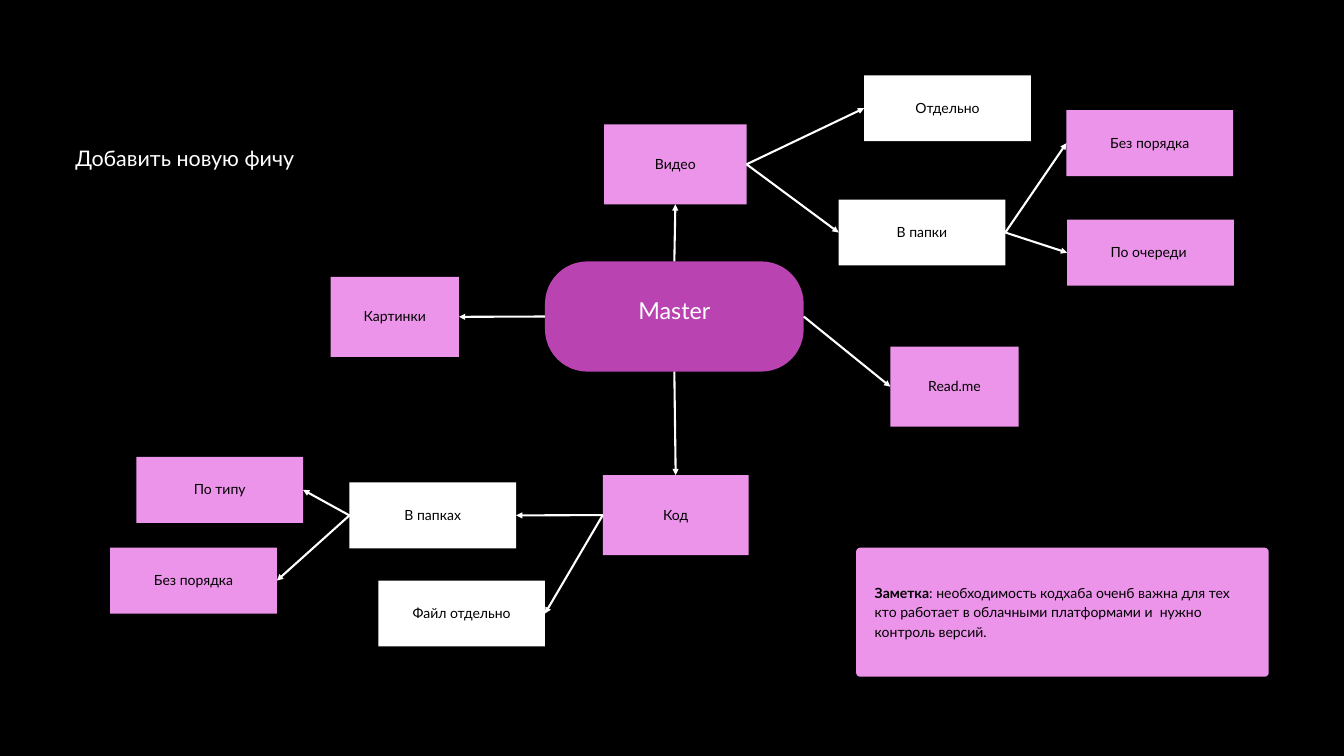
from typing import NamedTuple

from lxml.etree import SubElement
from pptx import Presentation
from pptx.dml.color import RGBColor
from pptx.enum.shapes import MSO_CONNECTOR, MSO_SHAPE
from pptx.enum.text import MSO_ANCHOR as Anchor, MSO_AUTO_SIZE as AutoSize, PP_ALIGN as Align
from pptx.oxml.ns import qn
from pptx.util import Inches, Pt

BLACK, WHITE, PINK, PURPLE = "000000", "FFFFFF", "EC94EA", "B843B1"
FONT = "Lato"
TOP, LEFT, BOTTOM, RIGHT = range(4)  # connection sites of a rectangle


class Node(NamedTuple):
    text: str
    left: float
    top: float
    width: float = 2.48
    height: float = 0.98
    fill: str = PINK


class Link(NamedTuple):
    start: str
    start_side: int
    end: str
    end_side: int


NODES = {
    "images": Node("Картинки", 4.92, 4.12, 1.91, 1.19),
    "video": Node("Видео", 8.99, 1.85, 2.12, 1.19),
    "code": Node("Код", 8.97, 7.07, 2.17, 1.19),
    "readme": Node("Read.me", 13.25, 5.16, 1.91, 1.19),
    "video single": Node("Отдельно", 12.86, 1.12, fill=WHITE),
    "video folders": Node("В папки", 12.48, 2.97, fill=WHITE),
    "video unordered": Node("Без порядка", 15.87, 1.64),
    "video ordered": Node("По очереди ", 15.88, 3.27),
    "code folders": Node("В папках", 5.2, 7.18, fill=WHITE),
    "code file": Node("Файл отдельно", 5.63, 8.64, fill=WHITE),
    "code by type": Node("По типу", 2.03, 6.8),
    "code unordered": Node("Без порядка", 1.64, 8.15),
}
MASTER = Node("Master", 8.11, 3.89, 3.85, 1.64, PURPLE)
NOTE = Node("", 12.74, 8.15, 6.14, 1.92)
NOTE_RUNS = [
    ("Заметка", True),
    (": необходимость кодхаба оченб важна для тех кто работает в облачными "
     "платформами и  нужно контроль версий.", False),
]

LINKS = [
    Link("master", RIGHT, "readme", LEFT),
    Link("master", LEFT, "images", RIGHT),
    Link("master", TOP, "video", BOTTOM),
    Link("master", BOTTOM, "code", TOP),
    Link("video", RIGHT, "video single", LEFT),
    Link("video", RIGHT, "video folders", LEFT),
    Link("video folders", RIGHT, "video unordered", LEFT),
    Link("video folders", RIGHT, "video ordered", LEFT),
    Link("code", LEFT, "code folders", RIGHT),
    Link("code", LEFT, "code file", RIGHT),
    Link("code folders", LEFT, "code by type", RIGHT),
    Link("code folders", LEFT, "code unordered", RIGHT),
]


def color(value: str) -> RGBColor:
    return RGBColor.from_string(value)


def set_margins(frame, side: float, bottom: float) -> None:
    frame.margin_left = frame.margin_top = frame.margin_right = Inches(side)
    frame.margin_bottom = Inches(bottom)


def style(para, size: float, ink: str, align, spacing: float) -> None:
    para.alignment = align
    para.line_spacing = Pt(spacing)
    para.font.name = FONT
    para.font.size = Pt(size)
    para.font.color.rgb = color(ink)


def add_node(page, node: Node, size: float = 15, ink: str = BLACK, align=Align.CENTER,
             spacing: float = 21, side: float = 0.06, bottom: float = 0.12,
             radius: float = 0):
    kind = MSO_SHAPE.ROUNDED_RECTANGLE if radius else MSO_SHAPE.RECTANGLE
    box = page.shapes.add_shape(kind, Inches(node.left), Inches(node.top),
                                Inches(node.width), Inches(node.height))
    if radius:
        box.adjustments[0] = radius / node.height
    box.shadow.inherit = False
    box.fill.solid()
    box.fill.fore_color.rgb = color(node.fill)
    box.line.fill.background()
    frame = box.text_frame
    frame.word_wrap = True
    frame.vertical_anchor = Anchor.MIDDLE
    set_margins(frame, side, bottom)
    para = frame.paragraphs[0]
    if node.text:
        para.add_run().text = node.text
    style(para, size, ink, align, spacing)
    return box


def add_link(page, boxes: dict, link: Link) -> None:
    arrow = page.shapes.add_connector(MSO_CONNECTOR.STRAIGHT, 0, 0, 0, 0)
    arrow.begin_connect(boxes[link.start], link.start_side)
    arrow.end_connect(boxes[link.end], link.end_side)
    arrow.line.width = Pt(2.25)
    arrow.line.color.rgb = color(WHITE)
    SubElement(arrow.line._get_or_add_ln(), qn("a:tailEnd"), type="triangle")
    SubElement(arrow._element.spPr, qn("a:effectLst"))


def add_title(page, text: str) -> None:
    title = page.shapes.title
    title.left, title.top = Inches(1.12), Inches(2.06)
    title.width, title.height = Inches(6.41), Inches(0.46)
    frame = title.text_frame
    frame.text = text
    frame.word_wrap = True
    frame.auto_size = AutoSize.NONE
    frame.vertical_anchor = Anchor.TOP
    set_margins(frame, 0, 0)
    style(frame.paragraphs[0], 23, WHITE, Align.LEFT, 34.5)


def main() -> None:
    deck = Presentation()
    deck.slide_width, deck.slide_height = Inches(20), Inches(11.25)
    page = deck.slides.add_slide(deck.slide_layouts[5])
    page.background.fill.solid()
    page.background.fill.fore_color.rgb = color(BLACK)
    add_title(page, "Добавить новую фичу")

    # Mind map: the centre, its branches and the arrows between them
    boxes = {"master": add_node(page, MASTER, size=25, ink=WHITE, spacing=35,
                                bottom=0.33, radius=0.63)}
    for name, node in NODES.items():
        boxes[name] = add_node(page, node)
    for link in LINKS:
        add_link(page, boxes, link)

    # Note in the lower right corner
    note = add_node(page, NOTE, align=Align.LEFT, side=0.26, bottom=0.3, radius=0.06)
    for text, bold in NOTE_RUNS:
        span = note.text_frame.paragraphs[0].add_run()
        span.text = text
        span.font.bold = bold

    deck.save("out.pptx")


if __name__ == "__main__":
    main()
